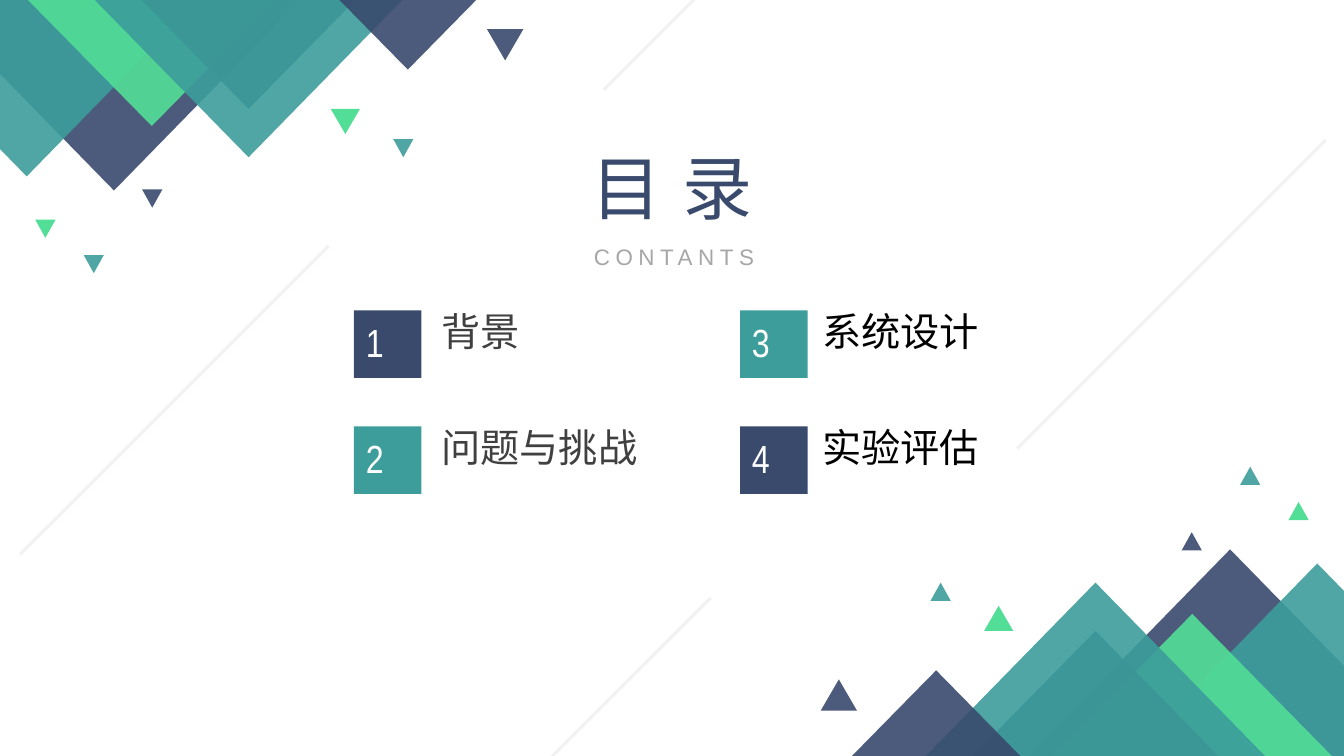
"""Builds a table-of-contents slide framed by two clusters of triangles."""
from lxml.etree import SubElement
from pptx import Presentation
from pptx.dml.color import RGBColor
from pptx.enum.shapes import MSO_CONNECTOR, MSO_SHAPE
from pptx.enum.text import MSO_AUTO_SIZE, PP_ALIGN
from pptx.oxml.ns import qn
from pptx.util import Inches, Pt

WIDTH, HEIGHT = 13.33, 7.5
COLORS = {
    "navy": "394A6D", "teal": "3C9D9B", "green": "52DE97",
    "stripe": "F2F2F2", "caption": "A6A6A6", "dark": "404040",
    "black": "000000", "white": "FFFFFF",
}
CJK, LATIN, NARROW = "Noto Sans CJK SC", "Arial", "Arial Narrow"

COLUMNS = ((3.51, 4.28, "dark"), (7.34, 8.06, "black"))
FIRST_ROW, ROW_STEP, TILE = 3.08, 1.15, 0.67
TOPICS = ("背景", "问题与挑战", "系统设计", "实验评估")
TILE_COLORS = ("navy", "teal", "teal", "navy")

STRIPE_CENTERS = ((11.62, 2.92), (5.52, 7.46), (1.73, 3.97), (7.52, -0.64))
STRIPE_REACH = 1.53

MIRROR_HEIGHT = 7.34
TRIANGLES = (
    (8.89, 5.45, 6.62, 3.39, "navy", 90),
    (10.9, 5.59, 4.33, 2.22, "teal", 90),
    (10.44, 6.09, 2.77, 1.41, "green", 90),
    (9.48, 6.26, 2.77, 1.41, "navy", 90),
    (8.89, 5.78, 3.95, 2.02, "teal", 90),
    (7.9, 6.65, 2.77, 1.41, "navy", 90),
    (12.78, 4.98, 0.2, 0.18, "green", 100),
    (12.3, 4.63, 0.2, 0.18, "teal", 90),
    (11.72, 5.28, 0.2, 0.18, "navy", 90),
    (9.76, 6.01, 0.29, 0.25, "green", 100),
    (9.23, 5.78, 0.2, 0.18, "teal", 90),
    (8.14, 6.74, 0.36, 0.31, "navy", 90),
)


def rgb(color):
    return RGBColor.from_string(COLORS[color])


def add_filled(shapes, kind, box, color, opacity=100):
    figure = shapes.add_shape(kind, *map(Inches, box))
    figure.shadow.inherit = False
    figure.line.fill.background()
    figure.fill.solid()
    figure.fill.fore_color.rgb = rgb(color)
    if opacity < 100:
        tint = figure.fill._xPr.find(qn("a:solidFill"))[0]
        SubElement(tint, qn("a:alpha"), val=str(opacity * 1000))
    return figure


def add_label(shapes, text, box, size, font, color, align=PP_ALIGN.LEFT, spacing=0):
    label = shapes.add_textbox(*map(Inches, box))
    frame = label.text_frame
    frame.text = text
    frame.word_wrap = True
    frame.auto_size = MSO_AUTO_SIZE.SHAPE_TO_FIT_TEXT
    paragraph = frame.paragraphs[0]
    paragraph.alignment = align
    run = paragraph.runs[0]
    run.font.size = Pt(size)
    run.font.name = font
    run.font.color.rgb = rgb(color)
    properties = run.font._element
    SubElement(properties, qn("a:ea"), typeface=font)
    if spacing:
        properties.set("spc", str(spacing * 100))
    return label


def add_stripe(shapes, x, y):
    ends = (x + STRIPE_REACH, y - STRIPE_REACH, x - STRIPE_REACH, y + STRIPE_REACH)
    stripe = shapes.add_connector(MSO_CONNECTOR.STRAIGHT, *map(Inches, ends))
    stripe.line.color.rgb = rgb("stripe")
    stripe.line.width = Pt(2.25)
    SubElement(stripe._element.spPr, qn("a:effectLst"))


def add_topic(shapes, index):
    column, row = divmod(index, 2)
    tile_left, topic_left, topic_color = COLUMNS[column]
    top = FIRST_ROW + row * ROW_STEP
    add_filled(shapes, MSO_SHAPE.RECTANGLE, (tile_left, top, TILE, TILE),
               TILE_COLORS[index])
    add_label(shapes, TOPICS[index], (topic_left, top - 0.08, 3.26, 0.57),
              28, CJK, topic_color)
    add_label(shapes, str(index + 1), (tile_left + 0.02, top + 0.03, 0.71, 0.57),
              28, NARROW, "white")


def add_cluster(shapes, mirrored):
    cluster = shapes.add_group_shape().shapes
    for left, top, width, height, color, opacity in TRIANGLES:
        if mirrored:
            left, top = WIDTH - left - width, MIRROR_HEIGHT - top - height
        triangle = add_filled(cluster, MSO_SHAPE.ISOSCELES_TRIANGLE,
                              (left, top, width, height), color, opacity)
        triangle.rotation = 180 if mirrored else 0


def main():
    deck = Presentation()
    deck.slide_width, deck.slide_height = Inches(WIDTH), Inches(HEIGHT)
    shapes = deck.slides.add_slide(deck.slide_layouts[6]).shapes
    for x, y in STRIPE_CENTERS:
        add_stripe(shapes, x, y)
    for index in range(len(TOPICS)):
        add_topic(shapes, index)
    add_label(shapes, "CONTANTS", (5.44, 2.36, 2.49, 0.37), 16, LATIN, "caption",
              PP_ALIGN.CENTER, 4)
    heading = add_label(shapes, "目 录", (0, 1.48, WIDTH, 0.95), 50, CJK, "navy",
                        PP_ALIGN.CENTER, 2)
    heading.text_frame.auto_size = MSO_AUTO_SIZE.NONE
    heading.text_frame.paragraphs[0].line_spacing = 0.9
    for mirrored in (False, True):
        add_cluster(shapes, mirrored)
    deck.save("out.pptx")


if __name__ == "__main__":
    main()
